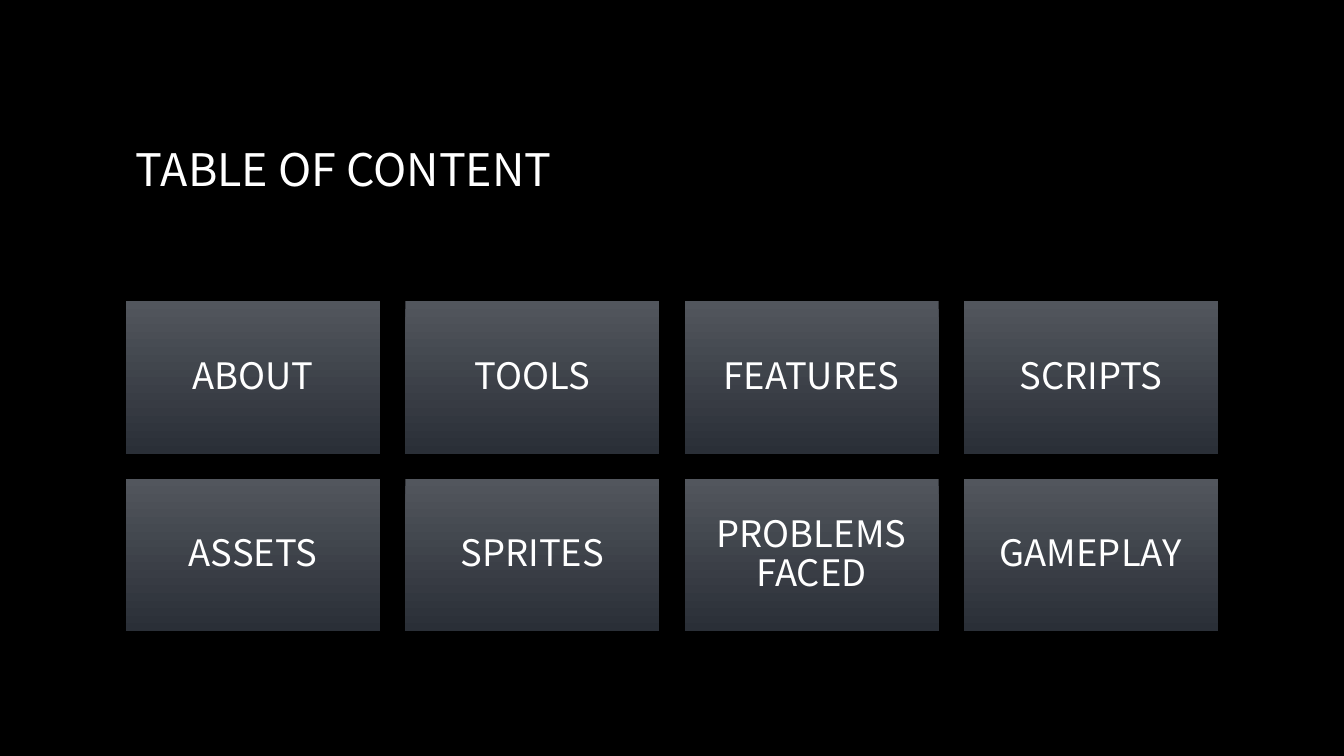
"""Build a table of contents slide with a grid of eight gradient tiles."""
from pptx import Presentation
from pptx.dml.color import RGBColor
from pptx.enum.shapes import MSO_SHAPE
from pptx.enum.text import MSO_ANCHOR, PP_ALIGN
from pptx.util import Inches, Pt

FONT = "Noto Sans CJK JP"
LEFT, TOP = 1.25, 2.99
TILE_W, TILE_H, GAP = 2.52, 1.51, 0.25
COLS = 4
TOPICS = ["ABOUT", "TOOLS", "FEATURES", "SCRIPTS",
          "ASSETS", "SPRITES", "PROBLEMS FACED", "GAMEPLAY"]


def rgb(value):
    return RGBColor.from_string(value)


def add_text(sp, text, size, align):
    tf = sp.text_frame
    tf.word_wrap = True
    tf.vertical_anchor = MSO_ANCHOR.MIDDLE
    p = tf.paragraphs[0]
    p.alignment = align
    p.line_spacing = 0.9
    r = p.add_run()
    r.text = text
    r.font.name = FONT
    r.font.size = Pt(size)
    r.font.color.rgb = rgb("FFFFFF")
    return tf


prs = Presentation()
prs.slide_width, prs.slide_height = Inches(13.33), Inches(7.5)
s = prs.slides.add_slide(prs.slide_layouts[6])
s.background.fill.solid()
s.background.fill.fore_color.rgb = rgb("000000")

title = s.shapes.add_textbox(Inches(LEFT), Inches(0.67), Inches(10.83), Inches(2.08))
add_text(title, "TABLE OF CONTENT", 32, PP_ALIGN.LEFT)

for i, topic in enumerate(TOPICS):
    row, col = divmod(i, COLS)
    sp = s.shapes.add_shape(
        MSO_SHAPE.RECTANGLE,
        Inches(LEFT + col * (TILE_W + GAP)), Inches(TOP + row * (TILE_H + GAP)),
        Inches(TILE_W), Inches(TILE_H))
    sp.shadow.inherit = False
    sp.line.fill.background()
    sp.fill.gradient()
    sp.fill.gradient_angle = 270
    for stop, color in zip(sp.fill.gradient_stops, ("52565D", "2A2F37")):
        stop.color.rgb = rgb(color)
    tf = add_text(sp, topic, 26, PP_ALIGN.CENTER)
    tf.margin_left = tf.margin_right = tf.margin_top = tf.margin_bottom = Inches(0.11)

prs.save("out.pptx")
